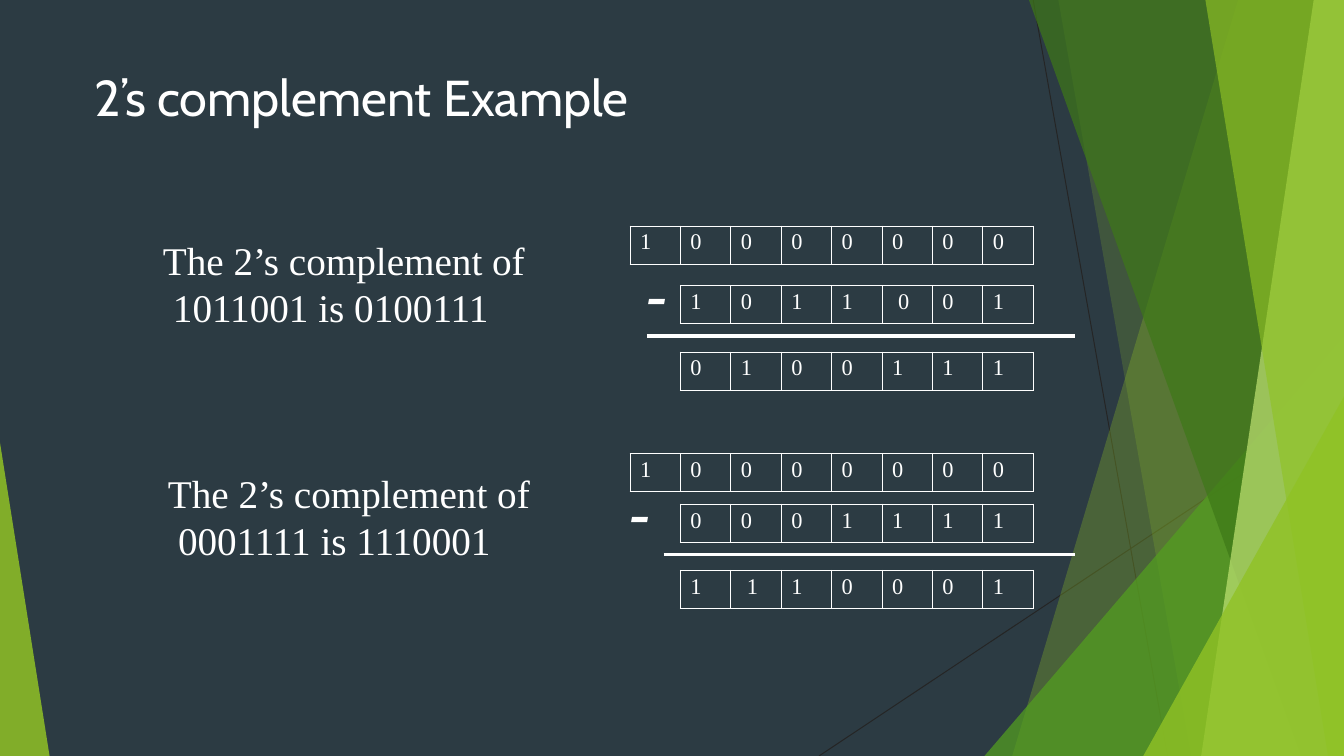
from dataclasses import dataclass

from lxml.etree import SubElement as Sub
from pptx import Presentation
from pptx.dml.color import RGBColor as RGB
from pptx.enum.shapes import MSO_CONNECTOR as Conn
from pptx.enum.text import MSO_ANCHOR as Anchor, MSO_AUTO_SIZE as Fit, PP_ALIGN as Align
from pptx.oxml.ns import qn
from pptx.util import Inches, Pt

COLS, ROWS = 160, 90
UNIT = Inches(7.5) / ROWS
CELL_W, CELL_H = 6, 4.56


@dataclass(frozen=True)
class Theme:
    back: str = "2C3B43"
    ink: str = "FFFFFF"
    hair: str = "252525"
    lime: str = "90C225"
    leaf: str = "539F20"
    moss: str = "3E7818"
    pale: str = "C0E374"
    head: str = "Cabin"
    body: str = "Times New Roman"
    title: int = 36
    text: int = 28
    digit: int = 16
    minus: int = 44


LOOK = Theme()


def grid(*units):
    return [round(u * UNIT) for u in units]


def paint(fill, color):
    fill.solid()
    fill.fore_color.rgb = RGB.from_string(color)


def style(para, **form):
    for name, value in form.items():
        setattr(para.font, name, value)
    para.font.color.rgb = RGB.from_string(LOOK.ink)


def frame(holder, top=0.01):
    """Strip the margins of a shape's text frame and pin its text to the top."""
    text = holder.text_frame
    form = dict(margin_left=0, margin_right=0, margin_bottom=0,
                margin_top=Inches(top), vertical_anchor=Anchor.TOP,
                word_wrap=False, auto_size=Fit.NONE)
    for name, value in form.items():
        setattr(text, name, value)
    return text


def rule(slide, ends, color, width):
    line = slide.shapes.add_connector(Conn.STRAIGHT, *grid(*ends))
    paint(line.line.fill, color)
    line.line.width = Pt(width)
    Sub(line._element.spPr, qn("a:effectLst"))


def facet(slide, points, color, alpha):
    """Draw a see-through polygon; alpha is its opacity in percent."""
    first, *rest = [grid(*point) for point in points]
    pen = slide.shapes.build_freeform(*first)
    pen.add_line_segments(rest, close=True)
    shape = pen.convert_to_shape()
    shape.shadow.inherit = False
    shape.line.fill.background()
    paint(shape.fill, color)
    tint = shape._element.spPr.find(".//" + qn("a:srgbClr"))
    Sub(tint, qn("a:alpha"), val=str(alpha * 1000))


def decor(slide):
    paint(slide.background.fill, LOOK.back)
    rule(slide, (123, 0, 139, ROWS), LOOK.hair, 0.72)
    rule(slide, (COLS, 48.4, 97.5, ROWS), LOOK.hair, 0.72)

    def band(top, foot):
        return [(COLS, 0), (top, 0), (foot, ROWS), (COLS, ROWS)]

    def wedge(high, foot):
        return [(COLS, high), (foot, ROWS), (COLS, ROWS)]

    for points, color, alpha in (
        (band(147.4, 120.5), LOOK.lime, 30),
        (band(126, 141.8), LOOK.lime, 20),
        (wedge(40, 117.2), LOOK.leaf, 72),
        (band(122.5, 154.9), LOOK.moss, 70),
        (band(156.4, 143), LOOK.pale, 70),
        (band(143.5, 158.1), LOOK.lime, 65),
        (wedge(47.2, 136.1), LOOK.lime, 80),
        ([(0, 52.7), (0, ROWS), (5.9, ROWS)], LOOK.lime, 85),
    ):
        facet(slide, points, color, alpha)


def title(slide, box, words):
    head = slide.shapes.title
    for name, value in zip(("left", "top", "width", "height"), grid(*box)):
        setattr(head, name, value)
    para = frame(head).paragraphs[0]
    para.text = words
    para.alignment = Align.LEFT
    style(para, name=LOOK.head, size=Pt(LOOK.title))


def claim(slide, box, value, result):
    text = frame(slide.shapes.add_textbox(*grid(*box)))
    text.text = f"The 2’s complement of\n{value} is {result}"
    for para in text.paragraphs:
        style(para, name=LOOK.body, size=Pt(LOOK.text))
    text.paragraphs[1]._p.get_or_add_pPr().set("marL", str(Inches(0.1)))


def edge(cell):
    props = cell._tc.get_or_add_tcPr()
    for side in ("lnL", "lnR", "lnT", "lnB"):
        line = Sub(props, qn("a:" + side), w=str(Pt(0.75)))
        fill = Sub(line, qn("a:solidFill"))
        Sub(fill, qn("a:srgbClr"), val=LOOK.ink)


def bits(slide, left, top, digits, nudged=None):
    """Set a row of digits, one a cell; the nudged one sits further right."""
    size = len(digits)
    box = grid(left, top, size * CELL_W, CELL_H)
    table = slide.shapes.add_table(1, size, *box).table
    table.first_row = table.horz_banding = False
    for spot, digit in enumerate(digits):
        cell = table.cell(0, spot)
        edge(cell)
        paint(cell.fill, LOOK.back)
        indent = 0.16 if spot == nudged else 0.1
        form = dict(margin_left=Inches(indent), margin_right=0,
                    margin_top=Inches(0.04), margin_bottom=0, text=digit)
        for name, value in form.items():
            setattr(cell, name, value)
        style(cell.text_frame.paragraphs[0],
              name=LOOK.body, size=Pt(LOOK.digit))


def minus(slide, left, top):
    box = slide.shapes.add_textbox(*grid(left, top, 2.8, 9.1))
    para = frame(box).paragraphs[0]
    para.text = "-"
    style(para, name=LOOK.body, size=Pt(LOOK.minus), bold=True, italic=True)


def sums(slide, box, value, result, step, sign, start, nudges):
    """Lay out a subtraction; step, sign and start are offsets in the box."""
    left, top, width = box
    low = top + step
    line = low + 6
    inner = left + CELL_W
    bits(slide, left, top, "1" + "0" * len(value))
    minus(slide, left + sign, low - 3.8)
    bits(slide, inner, low, value, nudges[0])
    rule(slide, (left + start, line, left + width, line), LOOK.ink, 2.28)
    bits(slide, inner, line + 1.9, result, nudges[1])


def main():
    deck = Presentation()
    deck.slide_width, deck.slide_height = grid(COLS, ROWS)
    slide = deck.slides.add_slide(deck.slide_layouts[5])
    decor(slide)
    title(slide, (11.2, 7.7, 67.6, 7.6), "2’s complement Example")
    for value, result, note, area, step, sign, start, nudges in (
        ("1011001", "0100111", (19.4, 28, 43.4, 11.5), (75, 26.9, 53),
         7.1, 2, 2, (4, None)),
        ("0001111", "1110001", (20, 55.8, 43.4, 11.5), (75, 54, 53),
         6, 0, 4, (None, 1)),
    ):
        claim(slide, note, value, result)
        sums(slide, area, value, result, step, sign, start, nudges)
    deck.save("out.pptx")


if __name__ == "__main__":
    main()
